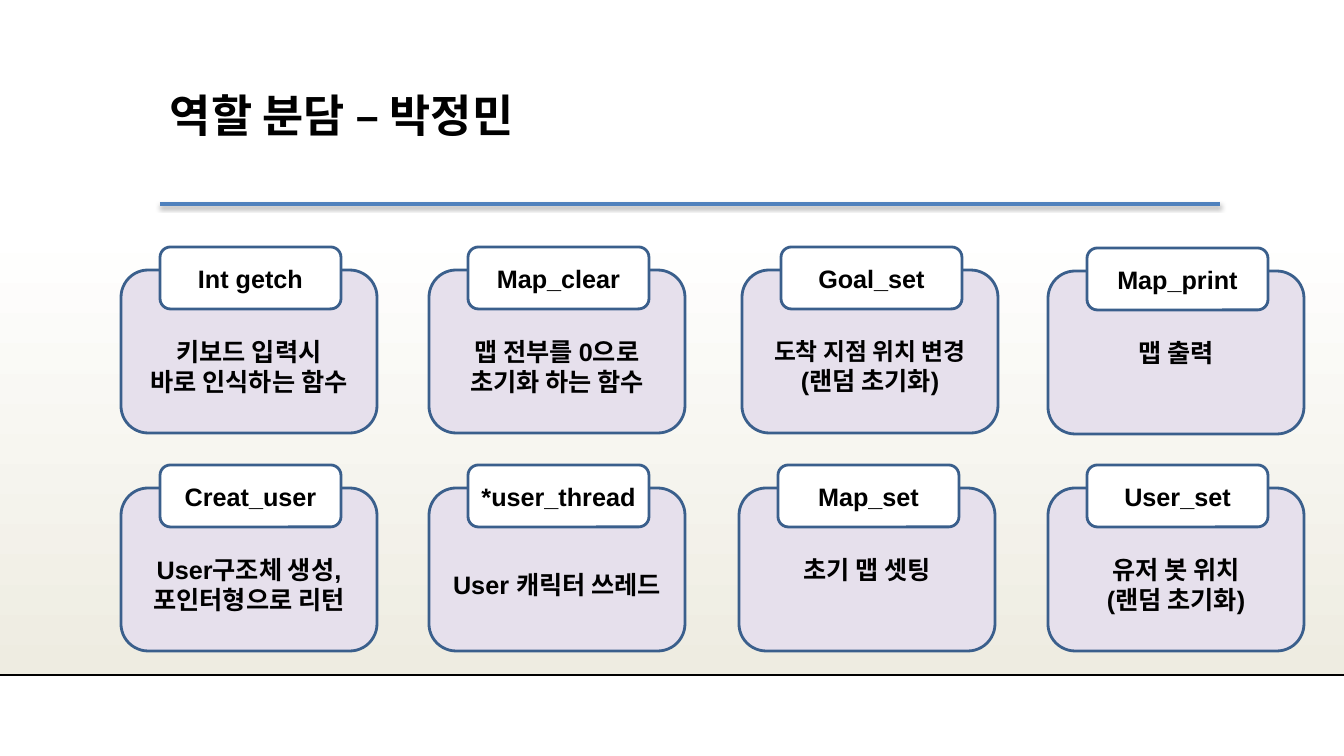
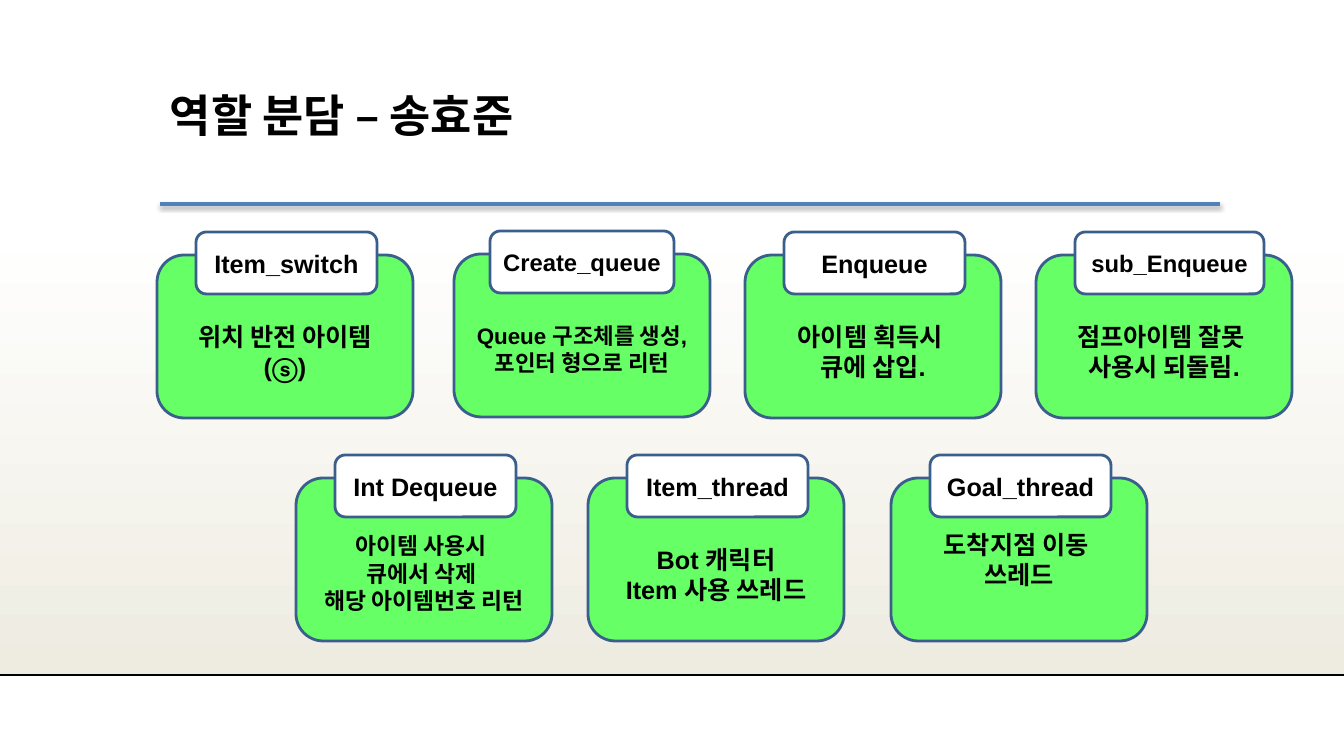
from collections import namedtuple
from dataclasses import dataclass

from lxml import etree
from pptx import Presentation
from pptx import util as u
from pptx.dml.color import RGBColor
from pptx.enum import shapes, text
from pptx.oxml import ns

PX = 12192000 / 1344


@dataclass(frozen=True)
class Theme:
    ink: str = "000000"
    white: str = "FFFFFF"
    sand: str = "EEECE1"
    rule: str = "4F81BD"
    outline: str = "3A5F8C"
    lilac: str = "E6E0EC"
    green: str = "66FF66"
    title_font: str = "Calibri"
    card_font: str = "Arial"
    title_size: int = 32


theme = Theme()
Card = namedtuple(
    "Card",
    "left top name lines sizes lead tab_left tab_width tab_size",
    defaults=[(18, 18), True, 39, 181, 18],
)
CARD_WIDTH, CARD_HEIGHT = 256, 163
TAB_RISE, TAB_HEIGHT = 23, 62

slides = [
    ("역할 분담 – 박정민", theme.lilac, [
        Card(121, 270, "Int getch", ["키보드 입력시", "바로 인식하는 함수"]),
        Card(429, 270, "Map_clear", ["맵 전부를 0으로", "초기화 하는 함수"]),
        Card(742, 270, "Goal_set", ["도착 지점 위치 변경", "(랜덤 초기화)"], (17, 18)),
        Card(1048, 271, "Map_print", ["맵 출력"], lead=False),
        Card(121, 488, "Creat_user", ["User구조체 생성,", "포인터형으로 리턴"]),
        Card(429, 488, "*user_thread", ["User 캐릭터 쓰레드"]),
        Card(739, 488, "Map_set", ["초기 맵 셋팅"], lead=False),
        Card(1048, 488, "User_set", ["유저 봇 위치", "(랜덤 초기화)"]),
    ]),
    ("역할 분담 – 송효준", theme.green, [
        Card(157, 255, "Item_switch", ["위치 반전 아이템", "(ⓢ)"]),
        Card(454, 254, "Create_queue", ["Queue 구조체를 생성, 포인터 형으로 리턴"], (16,),
             tab_left=36, tab_width=184, tab_size=17),
        Card(745, 255, "Enqueue", ["아이템 획득시 ", "큐에 삽입."]),
        Card(1036, 255, "sub_Enqueue", ["점프아이템 잘못 ", "사용시 되돌림."],
             tab_width=189, tab_size=17),
        Card(296, 478, "Int Dequeue", ["아이템 사용시 ", "큐에서 삭제 ", "해당 아이템번호 리턴"],
             (16.3, 16.3, 16.3)),
        Card(588, 478, "Item_thread", ["Bot 캐릭터", "Item 사용 쓰레드"]),
        Card(891, 478, "Goal_thread", ["도착지점 이동 ", "쓰레드"], lead=False),
    ]),
]


def px(*lengths):
    return [u.Emu(round(length * PX)) for length in lengths]


def add_panel(page, frame, fill, lines, sizes, lead=0):
    box = page.shapes.add_shape(shapes.MSO_SHAPE.ROUNDED_RECTANGLE, *px(*frame))
    box.shadow.inherit = False
    box.fill.solid()
    box.fill.fore_color.rgb = RGBColor.from_string(fill)
    box.line.color.rgb = RGBColor.from_string(theme.outline)
    box.line.width = u.Pt(2)
    body = box.text_frame
    body.word_wrap = True
    body.vertical_anchor = text.MSO_ANCHOR.MIDDLE
    body.margin_top = px(5 + lead)[0]
    body.text = "\n".join(lines)
    for para, size in zip(body.paragraphs, sizes):
        para.alignment = text.PP_ALIGN.CENTER
        for span in para.runs:
            span.font.name = theme.card_font
            span.font.size = u.Pt(size)
            span.font.bold = True
            span.font.color.rgb = RGBColor.from_string(theme.ink)


deck = Presentation()
deck.slide_width, deck.slide_height = px(1344, 756)
blank = deck.slide_layouts[6]
for placeholder in list(blank.placeholders):
    blank.shapes.element.remove(placeholder.element)
pages = [deck.slides.add_slide(blank) for _ in slides]

band = pages[0].shapes.add_shape(shapes.MSO_SHAPE.RECTANGLE, *px(0, 223, 1344, 452))
band.shadow.inherit = False
band.line.fill.background()
band.fill.gradient()
band.fill.gradient_angle = 270
for stop, color in zip(band.fill.gradient_stops, (theme.white, theme.sand)):
    stop.color.rgb = RGBColor.from_string(color)

backdrop = [band]
for left, right, y, color, width in (
    (0, 1344, 675, theme.ink, 1),
    (160, 1220, 204, theme.rule, 2.5),
):
    line = pages[0].shapes.add_connector(shapes.MSO_CONNECTOR.STRAIGHT, *px(left, y, right, y))
    line.line.color.rgb = RGBColor.from_string(color)
    line.line.width = u.Pt(width)
    effects = etree.SubElement(line.element.spPr, ns.qn("a:effectLst"))
    backdrop.append(line)

shadow = etree.SubElement(
    effects, ns.qn("a:outerShdw"), blurRad="40000", dist="23000", dir="5400000", rotWithShape="0")
shade = etree.SubElement(shadow, ns.qn("a:srgbClr"), val=theme.ink)
etree.SubElement(shade, ns.qn("a:alpha"), val="35000")

for item in backdrop:
    blank.shapes.element.append(item.element)

for page, (title, fill, cards) in zip(pages, slides):
    heading = page.shapes.add_textbox(*px(160, 89, 461, 116)).text_frame
    heading.word_wrap = True
    heading.text = title
    para = heading.paragraphs[0]
    para.line_spacing = 0.9
    span = para.runs[0]
    span.font.name = theme.title_font
    span.font.size = u.Pt(theme.title_size)
    span.font.bold = True
    span.font.color.rgb = RGBColor.from_string(theme.ink)

    for card in cards:
        lead = round(card.sizes[-1] * 1.66) if card.lead else 0
        add_panel(page, (card.left, card.top, CARD_WIDTH, CARD_HEIGHT),
                  fill, card.lines, card.sizes, lead)
        add_panel(page, (card.left + card.tab_left, card.top - TAB_RISE, card.tab_width, TAB_HEIGHT),
                  theme.white, [card.name], [card.tab_size])

deck.save("out.pptx")
